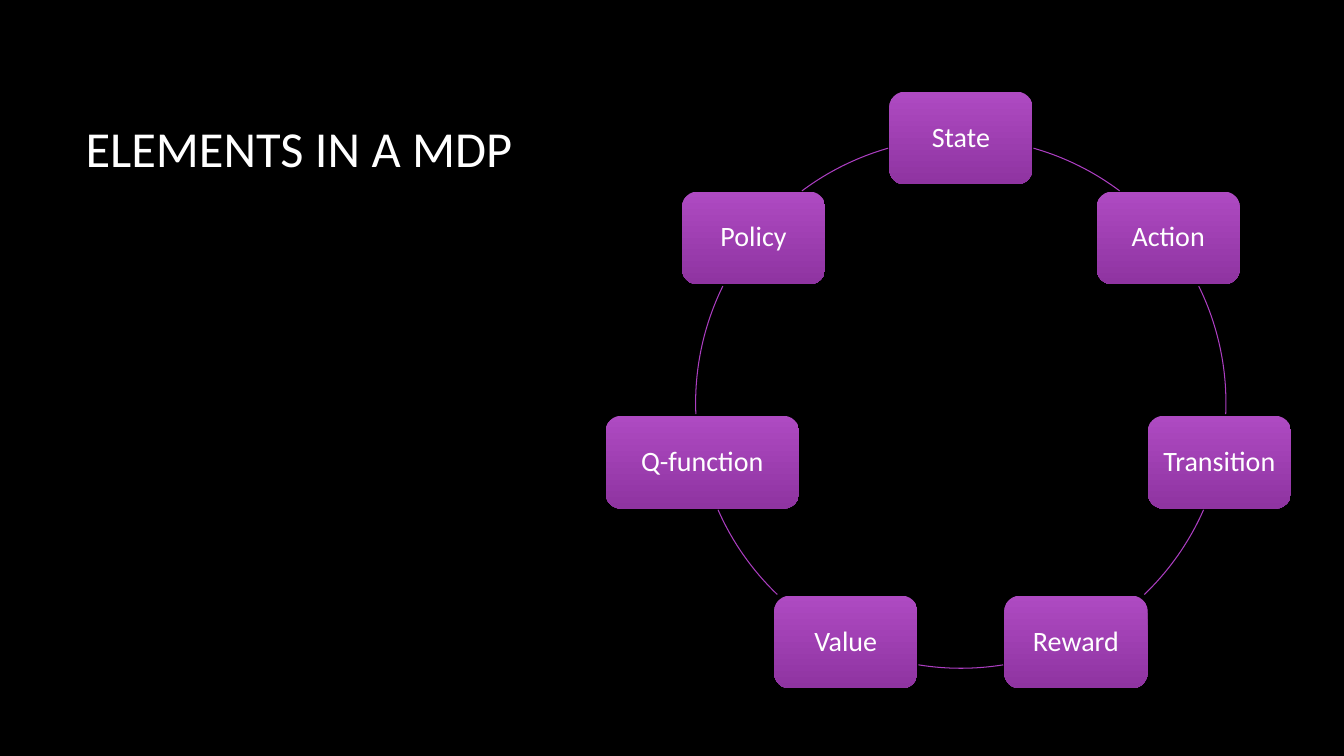
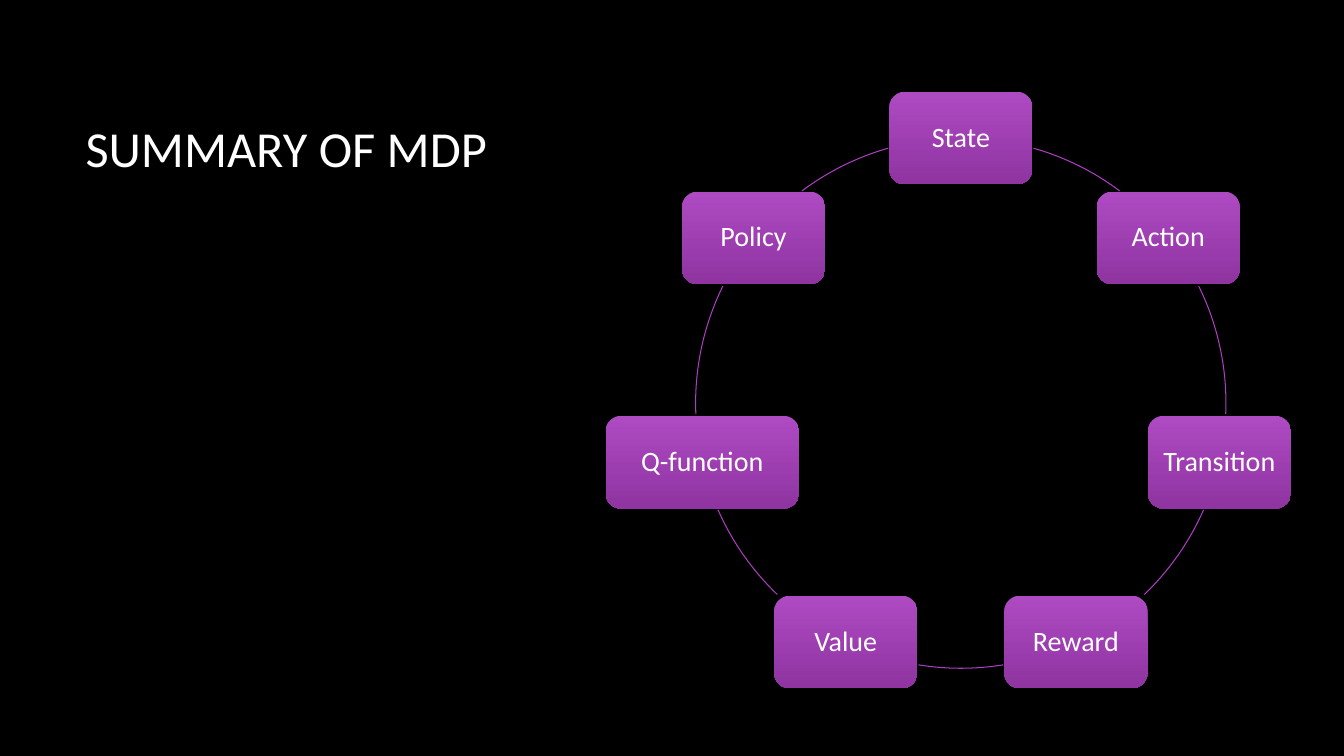
from math import cos, radians, sin

from pptx import Presentation
from pptx.dml.color import RGBColor
from pptx.enum.shapes import MSO_SHAPE
from pptx.enum.text import MSO_ANCHOR, PP_ALIGN
from pptx.util import Inches, Pt

COLOURS = {
    "background": "000000",
    "text": "FFFFFF",
    "box_top": "AE4AC2",
    "box_bottom": "8F34A1",
    "arc": "AC3EC1",
}
FONT = "Calibri"

CENTRE_X, CENTRE_Y, RADIUS = 9.53, 4.0, 2.63
BOX_WIDTH, WIDE_BOX_WIDTH, BOX_HEIGHT = 1.42, 1.92, 0.92

TITLES = ["ELEMENTS IN A MDP", "SUMMARY OF MDP"]
ELEMENTS = ["State", "Action", "Transition", "Reward", "Value", "Q-function", "Policy"]
WIDE_ELEMENTS = {"Q-function"}

# Degrees clockwise from the top; the left half mirrors the right half.
RIGHT_ARCS = [(15.9, 36.8), (63.8, 92.4), (113.7, 136.2)]
BOTTOM_ARC = (170.8, 189.2)
LEFT_ARCS = [(360 - end, 360 - start) for start, end in RIGHT_ARCS]
ARCS = [*RIGHT_ARCS, BOTTOM_ARC, *LEFT_ARCS]


def colour(name):
    return RGBColor.from_string(COLOURS[name])


def write_text(shape, text, size, align=PP_ALIGN.LEFT, inset=0.1, line_spacing=1.0):
    frame = shape.text_frame
    frame.word_wrap = True
    frame.vertical_anchor = MSO_ANCHOR.MIDDLE
    frame.margin_left = frame.margin_right = Inches(inset)
    para = frame.paragraphs[0]
    para.alignment = align
    para.line_spacing = line_spacing
    span = para.add_run()
    span.text = text
    span.font.name = FONT
    span.font.size = Pt(size)
    span.font.color.rgb = colour("text")


class CycleDeck:
    def __init__(self):
        self.deck = Presentation()
        self.deck.slide_width = Inches(13.33)
        self.deck.slide_height = Inches(7.5)
        fill = self.deck.slide_master.background.fill
        fill.solid()
        fill.fore_color.rgb = colour("background")
        self.page = None

    def add_page(self, title):
        self.page = self.deck.slides.add_slide(self.deck.slide_layouts[6])
        box = self.page.shapes.add_textbox(
            Inches(0.75), Inches(0.67), Inches(11.08), Inches(1.59)
        )
        write_text(box, title, size=36)

    def add_box(self, group, text, centre_x, centre_y, width):
        box = group.shapes.add_shape(
            MSO_SHAPE.ROUNDED_RECTANGLE,
            Inches(centre_x - width / 2),
            Inches(centre_y - BOX_HEIGHT / 2),
            Inches(width),
            Inches(BOX_HEIGHT),
        )
        box.shadow.inherit = False
        box.line.fill.background()
        box.fill.gradient()
        box.fill.gradient_angle = 270
        for stop, name in zip(box.fill.gradient_stops, ("box_top", "box_bottom")):
            stop.color.rgb = colour(name)
        write_text(box, text, size=20, align=PP_ALIGN.CENTER, line_spacing=0.9)

    def add_arc(self, group, start, end):
        """Draw part of the circle between two angles, clockwise from the top."""
        arc = group.shapes.add_shape(
            MSO_SHAPE.ARC,
            Inches(CENTRE_X - RADIUS),
            Inches(CENTRE_Y - RADIUS),
            Inches(2 * RADIUS),
            Inches(2 * RADIUS),
        )
        # Arc adjustments run clockwise from the right, 0.6 to a degree.
        for index, angle in enumerate((start, end)):
            arc.adjustments[index] = (angle - 90) % 360 * 0.6
        arc.shadow.inherit = False
        arc.fill.background()
        arc.line.color.rgb = colour("arc")
        arc.line.width = Pt(0.75)

    def add_cycle(self, elements):
        """Space the elements evenly round the circle and join them with arcs."""
        group = self.page.shapes.add_group_shape()
        for index, (element, arc) in enumerate(zip(elements, ARCS)):
            angle = radians(index * 360 / len(elements))
            self.add_box(
                group,
                element,
                CENTRE_X + RADIUS * sin(angle),
                CENTRE_Y - RADIUS * cos(angle),
                WIDE_BOX_WIDTH if element in WIDE_ELEMENTS else BOX_WIDTH,
            )
            self.add_arc(group, *arc)


def main():
    cycle_deck = CycleDeck()
    for title in TITLES:
        cycle_deck.add_page(title)
        cycle_deck.add_cycle(ELEMENTS)
    cycle_deck.deck.save("out.pptx")


if __name__ == "__main__":
    main()
